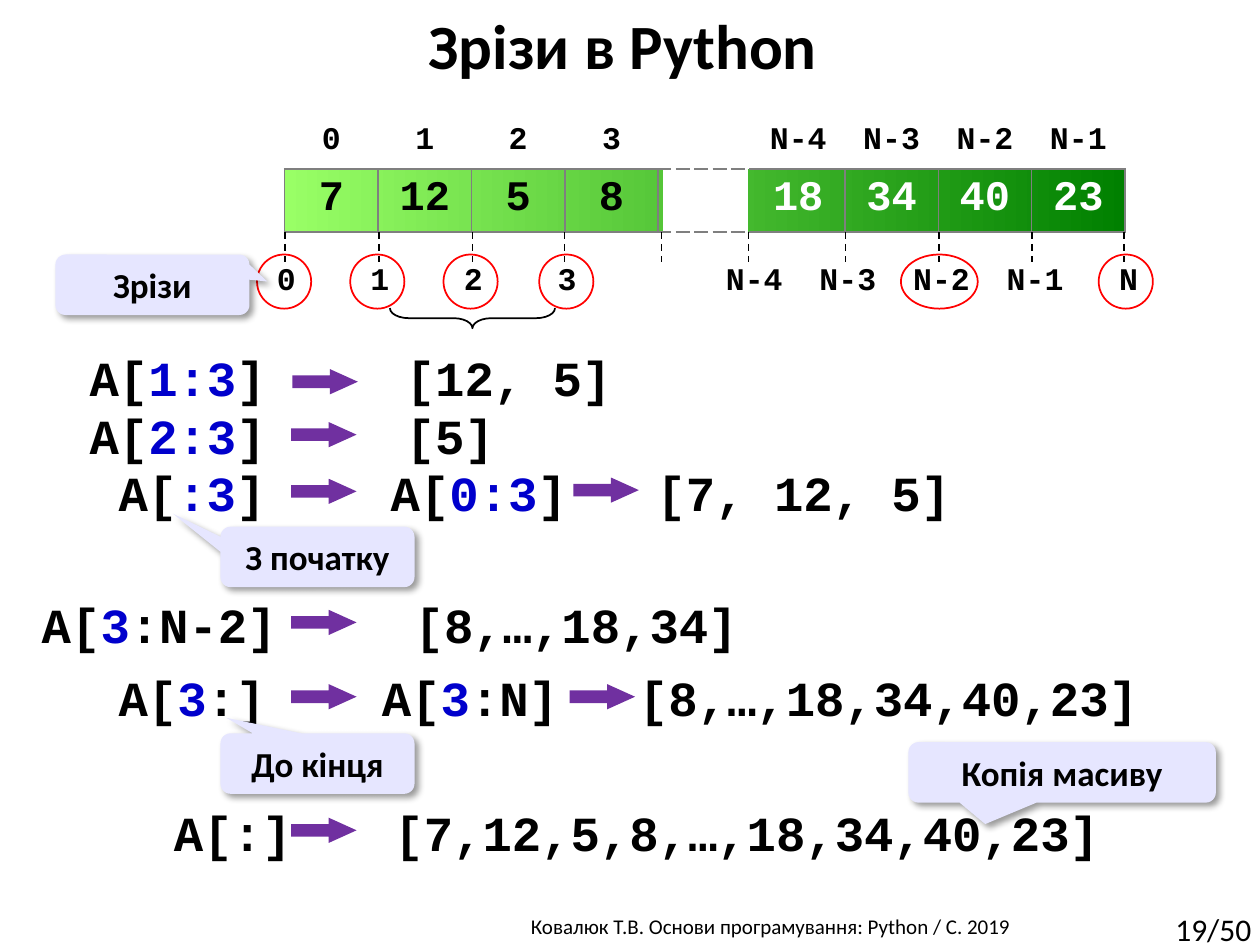
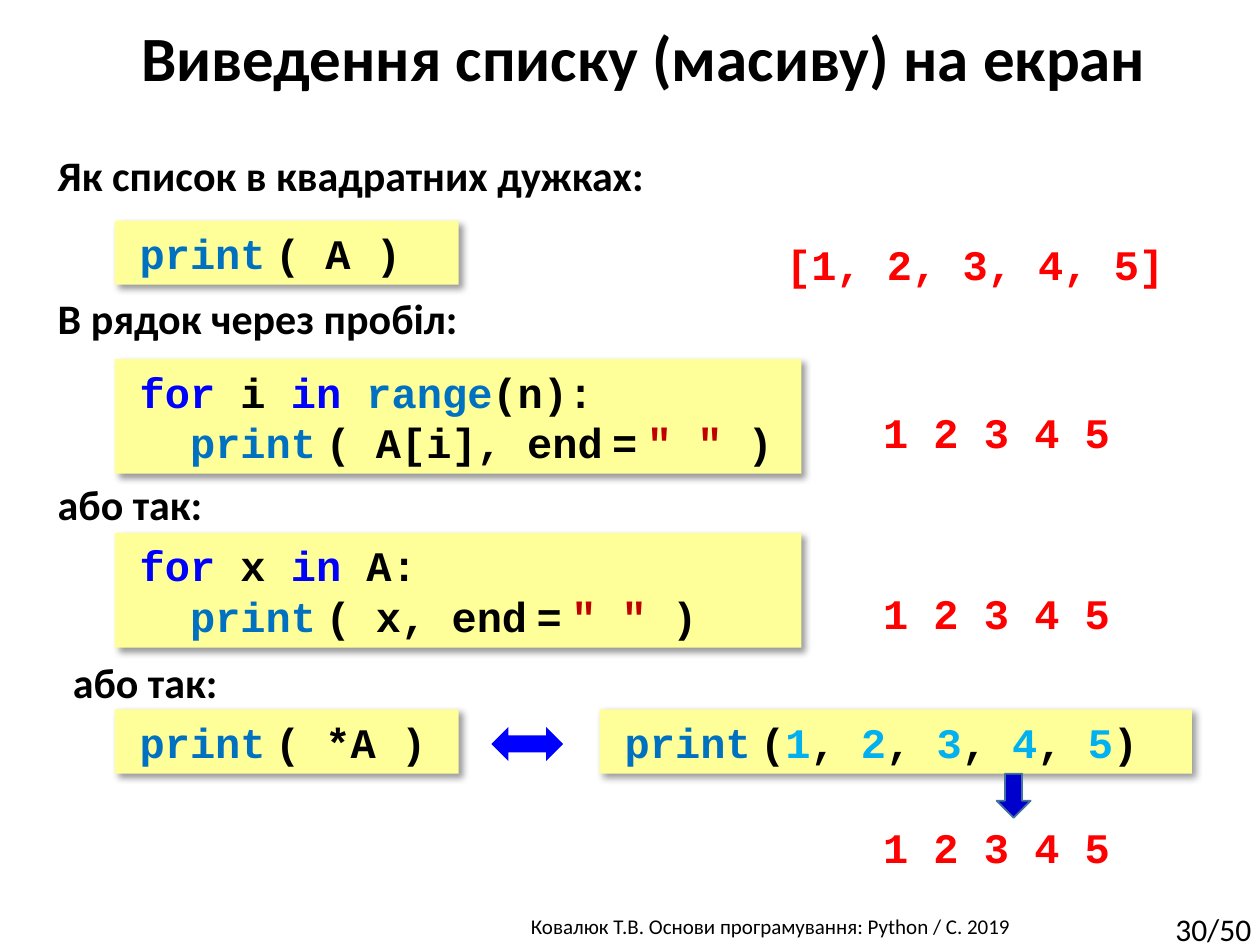
"""Builds two slides on Python list slices and list printing."""
import pptx
import pptx.dml.color
import pptx.enum.dml
import pptx.enum.shapes
import pptx.enum.text
import pptx.oxml
import pptx.oxml.ns
import pptx.util
from pptx.util import Inches

C = {
    "text": "000000", "white": "FFFFFF", "index": "0000CC", "red": "FF0000",
    "arrow": "7030A0", "callout": "E6E6FF", "code": "FFFF99", "key": "0000FF",
    "func": "0070C0", "string": "C00000", "number": "00B0F0", "grid": "7F7F7F",
    "edge": "43739E", "dark": "008000", "light": "99FF66",
}
RGB = {name: pptx.dml.color.RGBColor.from_string(value) for name, value in C.items()}
SHAPE = pptx.enum.shapes.MSO_SHAPE
ALIGN = pptx.enum.text.PP_ALIGN
NS = 'xmlns:a="http://schemas.openxmlformats.org/drawingml/2006/main"'
SHADOW = (f'<a:outerShdw {NS} blurRad="50800" dist="38100" dir="2700000" algn="tl" rotWithShape="0">'
          '<a:srgbClr val="000000"><a:alpha val="40000"/></a:srgbClr></a:outerShdw>')
SANS, MONO = "Calibri", "Courier New"


def write(tf, lines, size, font=SANS, align=ALIGN.LEFT, bold=True):
    """Fills a text frame with lines, each a list of (text, colour) runs."""
    tf.word_wrap = True
    for i, runs in enumerate(lines):
        p = tf.paragraphs[0] if i == 0 else tf.add_paragraph()
        p.alignment = align
        for text, color in runs:
            r = p.add_run()
            r.text = text
            r.font.size = pptx.util.Pt(size)
            r.font.name = SANS if text == " " else font
            r.font.bold = bold
            r.font.color.rgb = RGB[color]


def add(s, kind, box, fill=None, line=None, adj=(), shadow=False):
    """Adds a preset shape, or a text box when kind is None."""
    box = [Inches(v) for v in box]
    if kind is None:
        return s.shapes.add_textbox(*box)
    sp = s.shapes.add_shape(kind, *box)
    sp.shadow.inherit = False
    if shadow:
        effects = sp._element.spPr.find(pptx.oxml.ns.qn("a:effectLst"))
        effects.append(pptx.oxml.parse_xml(SHADOW))
    if fill:
        sp.fill.solid()
        sp.fill.fore_color.rgb = RGB[fill]
    else:
        sp.fill.background()
    if line:
        sp.line.color.rgb = RGB[line]
        sp.line.width = pptx.util.Pt(1)
    else:
        sp.line.fill.background()
    for i, value in enumerate(adj):
        sp.adjustments[i] = value
    return sp


prs = pptx.Presentation()
prs.slide_width, prs.slide_height = Inches(10), Inches(7.5)
slides = []
for title, x, y, number in [("Зрізи в Python ", 0, 0, "19/50"),
                            ("Виведення списку (масиву) на екран", 0.11, 0.1, "30/50")]:
    s = prs.slides.add_slide(prs.slide_layouts[6])
    slides.append(s)
    footer = "Ковалюк Т.В. Основи програмування: Python / C. 2019 "
    write(add(s, None, (3.29, 7.2, 5.69, 0.3)).text_frame, [[(footer, "text")]], 12,
          align=ALIGN.CENTER, bold=False)
    write(add(s, None, (9.23, 7.17, 0.85, 0.4)).text_frame, [[(number, "text")]], 18, bold=False)
    write(add(s, None, (x, y, 10, 0.71)).text_frame, [[(title, "text")]], 36, align=ALIGN.CENTER)

s = slides[0]
sp = add(s, SHAPE.RECTANGLE, (2.26, 1.34, 6.67, 0.51))
sp.fill.gradient()
sp.fill.gradient_angle = 0
for stop, color in zip(sp.fill.gradient_stops, ["light", "dark"]):
    stop.color.rgb = RGB[color]
add(s, SHAPE.FLOWCHART_PROCESS, (5.26, 1.34, 0.68, 0.51), "white")

indexes = ["0", "1", "2", "3", "", "N-4", "N-3", "N-2", "N-1"]
values = ["7", "12", "5", "8", "", "18", "34", "40", "23"]
for x, y, w, rows, heights in [(2.26, 0.93, 6.67, [indexes, values], [0.41, 0.5]),
                               (1.9, 2.05, 7.43, [indexes + ["N"]], [0.41])]:
    count = len(rows[0])
    table = s.shapes.add_table(len(rows), count, Inches(x), Inches(y),
                               Inches(w), Inches(sum(heights))).table
    table.first_row = table.horz_banding = False
    table._tbl.tblPr.find(pptx.oxml.ns.qn("a:tableStyleId")).text = \
        "{2D5ABB26-0587-4C30-8999-92F81FD0307C}"
    for col in table.columns:
        col.width = Inches(w / count)
    for i, row in enumerate(rows):
        table.rows[i].height = Inches(heights[i])
        for j, value in enumerate(row):
            cell = table.cell(i, j)
            cell.fill.background()
            cell.margin_left = cell.margin_right = Inches(0.02)
            color = "white" if i == 1 and j > 4 else "text"
            if value:
                write(cell.text_frame, [[(value, color)]], 24 if i else 18, MONO, ALIGN.CENTER)
            sides = []
            if len(rows) == 2:
                sides = ["lnL", "lnR", "lnT", "lnB"] if i else ["lnB"]
            if j in (4, 5):
                sides = [side for side in sides if side != "lnL"]
            if j in (3, 4):
                sides = [side for side in sides if side != "lnR"]
            dash = "sysDash" if j == 4 else "solid"
            for k, side in enumerate(sides):
                cell._tc.get_or_add_tcPr().insert(k, pptx.oxml.parse_xml(
                    f'<a:{side} {NS} w="12700"><a:solidFill><a:srgbClr val="{C["grid"]}"/>'
                    f'</a:solidFill><a:prstDash val="{dash}"/></a:{side}>'))

for x in [2.26, 3.01, 3.75, 4.48, 5.25, 5.94, 6.71, 7.45, 8.19, 8.92]:
    line = s.shapes.add_connector(pptx.enum.shapes.MSO_CONNECTOR.STRAIGHT,
                                  Inches(x), Inches(1.84), Inches(x), Inches(2.08))
    line.line.color.rgb = RGB["text"]
    line.line.width = pptx.util.Pt(1)
    line.line.dash_style = pptx.enum.dml.MSO_LINE.DASH
    line._element.spPr.append(pptx.oxml.parse_xml(f"<a:effectLst {NS}/>"))

for x, w in [(2.04, 0.43), (2.78, 0.43), (3.52, 0.43), (4.28, 0.43), (7.15, 0.61), (8.72, 0.43)]:
    add(s, SHAPE.OVAL, (x, 2.02, w, 0.43), line="red")
brace = add(s, SHAPE.LEFT_BRACE, (3.67, 1.87, 0.16, 1.31), line="text", adj=(0.94, 0.5))
brace.rotation = 270

expressions = [
    (0.38, 2.71, 1.94, " A[", "1:3", "] "), (2.89, 2.71, 2.17, " [12, 5] ", "", ""),
    (0.38, 3.17, 1.94, " A[", "2:3", "] "), (2.89, 3.17, 1.23, " [5] ", "", ""),
    (0.61, 3.62, 1.7, " A[", ":3", "] "), (2.77, 3.62, 1.94, " A[", "0:3", "] "),
    (4.88, 3.62, 2.88, " [7, 12, 5] ", "", ""),
    (0, 4.67, 2.41, " A[", "3", ":N-2] "), (2.96, 4.67, 3.11, " [8,…,18,34] ", "", ""),
    (0.61, 5.25, 1.7, " A[", "3", ":] "), (2.7, 5.25, 1.94, " A[", "3", ":N] "),
    (4.74, 5.25, 4.52, " [8,…,18,34,40,23] ", "", ""),
    (1.05, 6.32, 1.47, " A[:] ", "", ""),
    (2.8, 6.32, 6.16, " [7,12,5,8,…,18,34,40,23] ", "", ""),
]
for x, y, w, start, index, end in expressions:
    runs = [(start, "text"), (index, "index"), (end, "text")]
    write(add(s, None, (x, y, w, 0.57)).text_frame, [[run for run in runs if run[0]]], 28, MONO)

for x, y in [(2.32, 2.93), (2.31, 3.35), (2.31, 3.8), (4.55, 3.79),
             (2.31, 4.84), (2.31, 5.43), (4.52, 5.43), (2.31, 6.49)]:
    add(s, SHAPE.RIGHT_ARROW, (x, y, 0.52, 0.2), "arrow", adj=(0.5, 1.105))

for text, x, y, w, dx, dy in [("Зрізи", 0.44, 2.02, 1.54, 0.592, -0.054),
                              ("З початку", 1.75, 4.18, 1.54, -0.745, -0.715),
                              ("До кінця", 1.75, 5.82, 1.54, -0.469, -0.756),
                              ("Копія масиву", 7.21, 5.89, 2.44, -0.25, 0.855)]:
    sp = add(s, SHAPE.ROUNDED_RECTANGULAR_CALLOUT, (x, y, w, 0.48), "callout",
             adj=(dx, dy, 0.167), shadow=True)
    write(sp.text_frame, [[(text, "text")]], 20, align=ALIGN.CENTER)

s = slides[1]
for text, x, y, w in [("Як список в квадратних дужках:", 0.36, 1.14, 7.55),
                      ("В рядок через пробіл:", 0.36, 2.27, 5.02),
                      ("або так:", 0.36, 3.75, 5.02), ("або так:", 0.48, 5.16, 5.02)]:
    write(add(s, None, (x, y, w, 0.5)).text_frame, [[(text, "text")]], 24)

for text, x, y, w in [("[1, 2, 3, 4, 5]", 6.14, 1.84, 3.35), ("1 2 3 4 5", 6.91, 3.18, 2.21),
                      ("1 2 3 4 5", 6.91, 4.61, 2.21), ("1 2 3 4 5", 6.91, 6.47, 2.21)]:
    write(add(s, None, (x, y, w, 0.51)).text_frame, [[(text, "red")]], 24, MONO)

gap = (" ", "text")
call = [("print", "func"), gap]
ending = [gap, ("=", "text"), gap, ('" "', "string"), (" )", "text")]
numbers = [("1", "number")]
for n in "2345":
    numbers += [(", ", "text"), (n, "number")]
blocks = [
    (0.91, 1.75, 2.73, 0.51, [call + [("( A )", "text")]]),
    (0.91, 2.85, 5.45, 0.91, [
        [("for", "key"), (" i ", "text"), ("in ", "key"), ("range", "func"), ("(n):", "text")],
        call + [("( A[i], end", "text")] + ending]),
    (0.91, 4.23, 5.45, 0.91, [
        [("for ", "key"), ("x ", "text"), ("in ", "key"), ("A:", "text")],
        call + [("( x, end", "text")] + ending]),
    (0.91, 5.63, 2.73, 0.51, [call + [("( *A )", "text")]]),
    (4.76, 5.63, 4.7, 0.51, [call + [("(", "text")] + numbers + [(")", "text")]]),
]
for x, y, w, h, lines in blocks:
    sp = add(s, SHAPE.RECTANGLE, (x, y, w, h), "code", shadow=True)
    write(sp.text_frame, lines, 24, MONO, ALIGN.JUSTIFY)
    for level, p in enumerate(sp.text_frame.paragraphs):
        pPr = p._p.get_or_add_pPr()
        pPr.set("marL", str(Inches(0.2 + 0.4 * level)))
        pPr.set("indent", str(Inches(-0.1)))

add(s, SHAPE.LEFT_RIGHT_ARROW, (3.9, 5.77, 0.57, 0.27), "key", adj=(0.5, 0.5))
add(s, SHAPE.DOWN_ARROW, (7.91, 6.14, 0.27, 0.35), "index", "edge")

prs.save("out.pptx")
